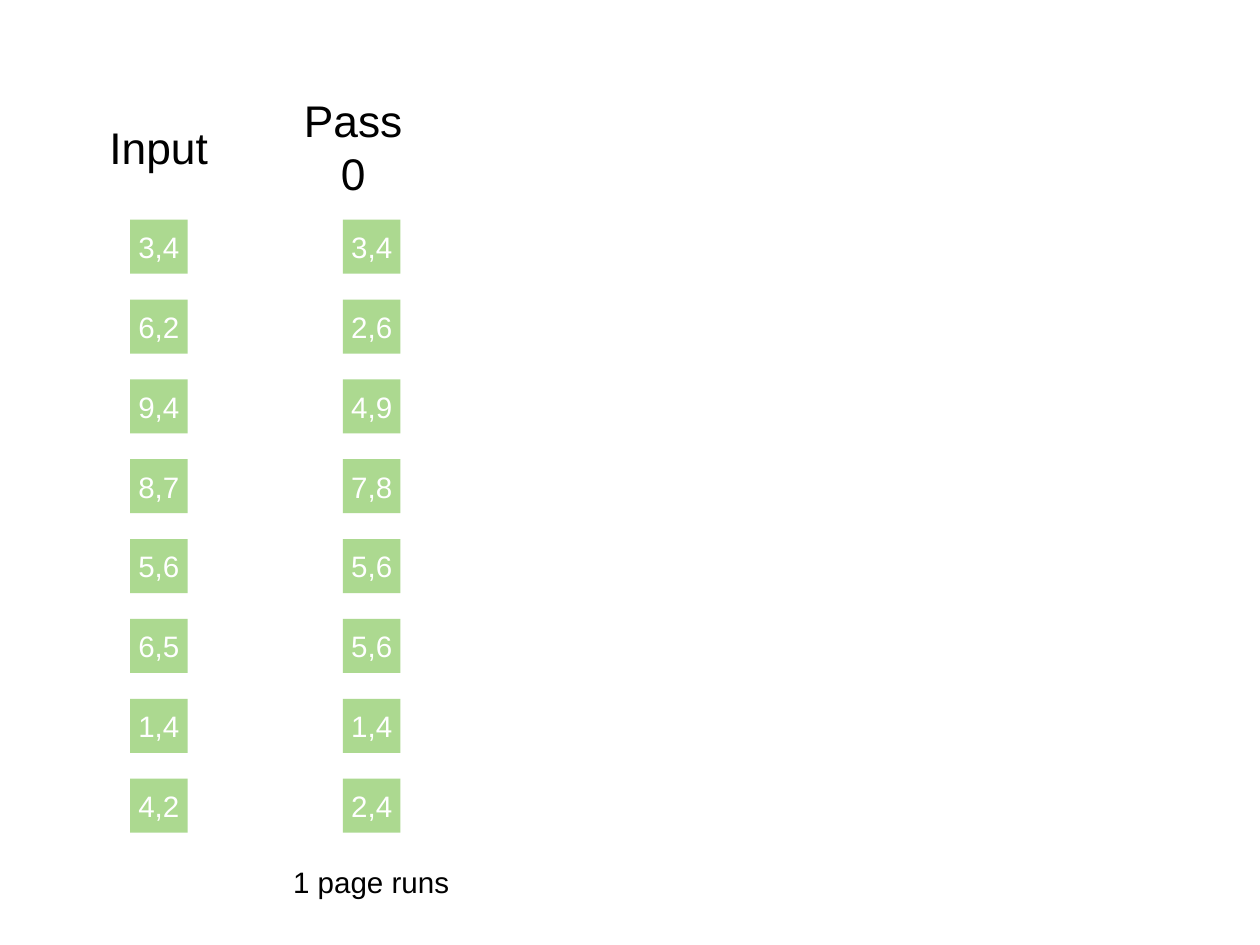
from lxml import etree
from pptx import Presentation
from pptx.dml.color import RGBColor
from pptx.enum.shapes import MSO_SHAPE
from pptx.enum.text import MSO_ANCHOR, PP_ALIGN
from pptx.oxml.ns import qn
from pptx.util import Cm, Pt

GREEN = RGBColor(0x70, 0xBF, 0x41)
WHITE = RGBColor(0xFF, 0xFF, 0xFF)
BLACK = RGBColor(0x00, 0x00, 0x00)


def set_text(sp, text, size, color, inset=0):
    tf = sp.text_frame
    tf.text = text
    tf.vertical_anchor = MSO_ANCHOR.MIDDLE
    tf.margin_left = tf.margin_right = Cm(inset)
    tf.margin_top = tf.margin_bottom = Cm(inset)
    p = tf.paragraphs[0]
    p.alignment = PP_ALIGN.CENTER
    font = p.runs[0].font
    font.name = "Arial"
    font.size = Pt(size)
    font.color.rgb = color
    return tf


prs = Presentation()
prs.slide_width, prs.slide_height = Cm(36.12), Cm(27.1)
s = prs.slides.add_slide(prs.slide_layouts[6])

# Pages of each column: left edge and values from top to bottom
columns = [
    (3.73, ["3,4", "6,2", "9,4", "8,7", "5,6", "6,5", "1,4", "4,2"]),
    (9.83, ["3,4", "2,6", "4,9", "7,8", "5,6", "5,6", "1,4", "2,4"]),
]
first_top, pitch = 6.3, 2.29
for left, pages in columns:
    for row, page in enumerate(pages):
        sp = s.shapes.add_shape(MSO_SHAPE.RECTANGLE, Cm(left),
                                Cm(first_top + row * pitch), Cm(1.65), Cm(1.55))
        sp.shadow.inherit = False
        sp.line.fill.background()
        sp.fill.solid()
        sp.fill.fore_color.rgb = GREEN
        # Partly transparent fill
        clr = sp.fill._xPr.find(qn("a:solidFill"))[0]
        etree.SubElement(clr, qn("a:alpha")).set("val", "58000")
        set_text(sp, page, 24, WHITE)

# Column headings and the caption below the second column
labels = [
    ("Input", 2.95, 3.3, 3.2, 1.8, 36),
    ("Pass 0", 8.59, 3.3, 4.14, 1.8, 36),
    ("1 page runs", 8.2, 24.64, 4.88, 1.3, 24),
]
for text, left, top, width, height, size in labels:
    sp = s.shapes.add_textbox(Cm(left), Cm(top), Cm(width), Cm(height))
    tf = set_text(sp, text, size, BLACK, 0.15)
    tf.word_wrap = False
    if text == "Pass 0":
        # Narrow text area, so that the number goes to a second line
        tf.word_wrap = True
        tf.margin_left, tf.margin_right = Cm(0), Cm(1.07)

prs.save("out.pptx")
